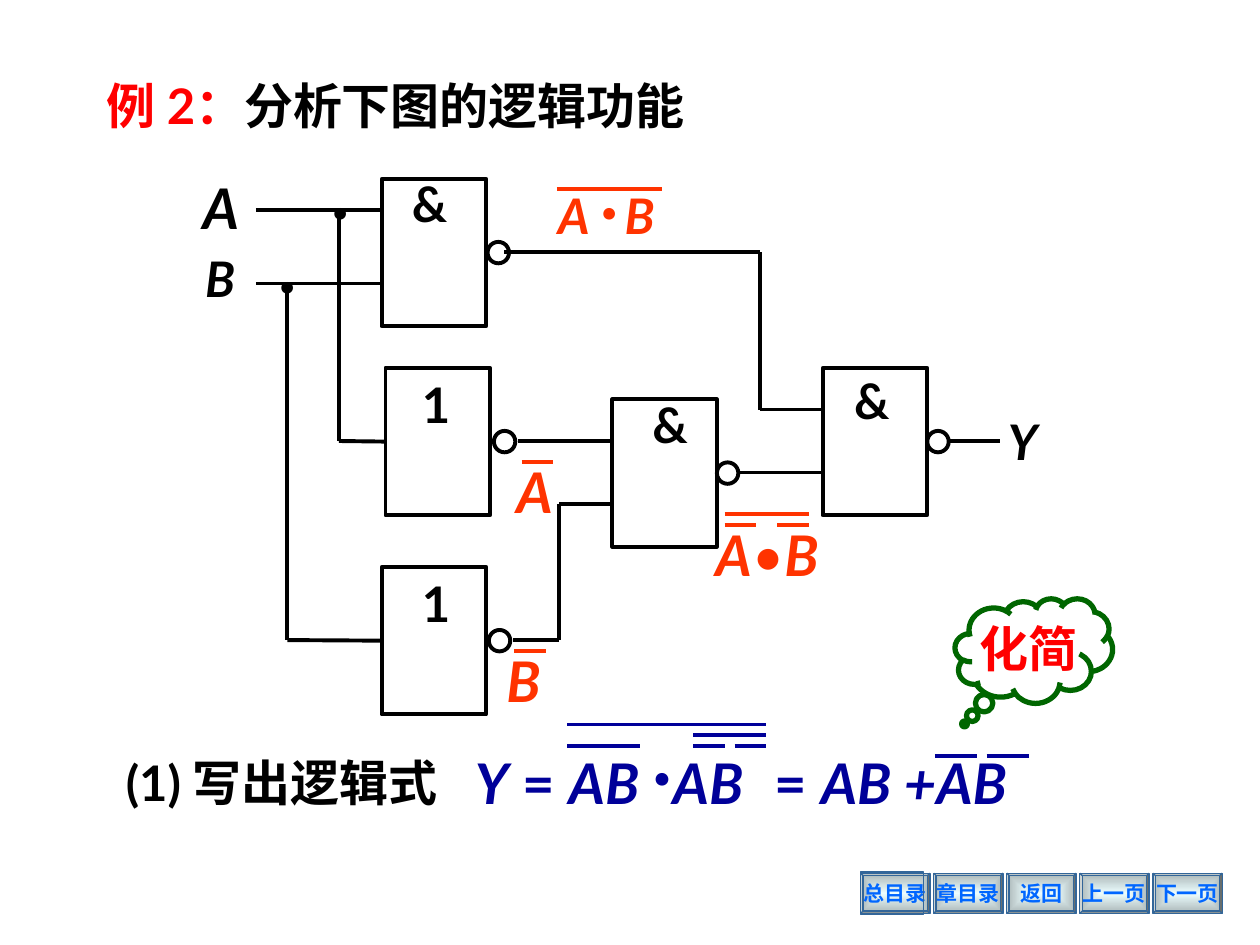
from lxml.etree import SubElement
from pptx import Presentation
from pptx.dml.color import RGBColor
from pptx.enum.shapes import MSO_CONNECTOR as Link, MSO_SHAPE as Shape
from pptx.enum.text import MSO_ANCHOR as Anchor, PP_ALIGN as Align
from pptx.oxml.ns import qn
from pptx.util import Cm, Pt

BLACK = RGBColor(0x00, 0x00, 0x00)
RED = RGBColor(0xFF, 0x00, 0x00)
ORANGE = RGBColor(0xFF, 0x33, 0x00)
NAVY = RGBColor(0x00, 0x00, 0x99)
GREEN = RGBColor(0x00, 0x66, 0x00)
STEEL = RGBColor(0x33, 0x66, 0x99)
LINK_BLUE = RGBColor(0x00, 0x66, 0xFF)
BUTTON_LIGHT = RGBColor(0xEC, 0xFD, 0xFE)
BUTTON_DARK = RGBColor(0xAA, 0xB6, 0xB7)

# Content; positions are in inches
BUTTONS = ["总目录", "章目录", "返回", "上一页", "下一页"]
BUTTON_LEFT, BUTTON_TOP, BUTTON_STEP = 6.83, 6.93, 0.58

GATE_SIZE, BUBBLE = (0.83, 1.17), 0.17
# name: left, top, symbol, symbol position, bubble left
GATES = {
    "nand A, B": (3.03, 1.42, "&", (3.17, 1.33), 3.87),
    "not A": (3.06, 2.92, "1", (3.25, 2.92), 3.92),
    "not B": (3.03, 4.5, "1", (3.25, 4.5), 3.88),
    "nand inverted": (4.86, 3.17, "&", (5.08, 3.08), 5.69),
    "output": (6.53, 2.92, "&", (6.68, 2.89), 7.36),
}

# Corner points of each wire, and the gate whose left middle it joins
WIRES = [
    ([(2.03, 1.67), (3.03, 1.67)], None),
    ([(2.03, 2.25), (3.03, 2.25)], None),
    ([(2.69, 1.67), (2.69, 3.5), (3.06, 3.5)], "not A"),
    ([(2.28, 2.25), (2.28, 5.08), (3.03, 5.08)], "not B"),
    ([(4, 2), (6.03, 2), (6.03, 3.25), (6.53, 3.25)], None),
    ([(4.11, 3.5), (4.86, 3.5)], None),
    ([(4.07, 5.08), (4.44, 5.08), (4.44, 4), (4.86, 4)], None),
    ([(5.86, 3.75), (6.53, 3.75)], None),
    ([(7.53, 3.5), (7.94, 3.5)], None),
]

# Negation bars: colour, then (from x, to x, y)
BARS = {
    ORANGE: [(4.42, 5.25, 1.5), (4.14, 4.39, 3.67), (4.08, 4.33, 5.17),
             (5.75, 6.42, 4.08), (5.75, 6, 4.17), (6.17, 6.42, 4.17)],
    NAVY: [(4.5, 6.08, 5.75), (5.5, 6.08, 5.83), (4.5, 5.08, 5.92),
           (5.5, 5.75, 5.92), (5.83, 6.08, 5.92),
           (7.42, 7.75, 6), (7.83, 8.17, 6)],
}

# Left, top, width, size, colour, spans of (text, style): b bold, i italic
TEXTS = [
    (0.75, 0.55, 5.3, 28, BLACK, [("例 2：", "b", RED), ("分析下图的逻辑功能", "b")]),
    (0.9, 5.92, 3.1, 28, BLACK, [("(1) 写出逻辑式", "b")]),
    # Inputs, output and junction dots
    (1.51, 1.33, 0.53, 32, BLACK, [("A", "bi")]),
    (1.53, 1.92, 0.58, 28, BLACK, [("B", "bi")]),
    (7.9, 3.22, 0.47, 28, BLACK, [("Y", "bi")]),
    (2.53, 1.08, 0.42, 44, BLACK, [(".", "b")]),
    (2.11, 1.67, 0.42, 44, BLACK, [(".", "b")]),
    # Gate results
    (4.33, 1.42, 0.5, 28, ORANGE, [("A", "bi")]),
    (4.67, 1.08, 0.33, 44, ORANGE, [(".", "b")]),
    (4.86, 1.42, 0.5, 28, ORANGE, [("B", "bi")]),
    (4, 3.58, 0.53, 32, ORANGE, [("A", "bi")]),
    (3.92, 5.08, 0.53, 32, ORANGE, [("B", "bi")]),
    (5.58, 4.08, 1.25, 32, ORANGE, [("A", "bi"), ("•", ""), ("B", "bi")]),
    # Logic expression
    (3.67, 5.89, 1.65, 32, NAVY, [("Y", "bi"), (" = ", "b"), ("AB", "bi")]),
    (5.08, 5.52, 0.33, 48, NAVY, [(".", "b")]),
    (5.24, 5.89, 0.9, 32, NAVY, [("AB", "bi")]),
    (6.05, 5.89, 2.4, 32, NAVY, [("= ", "b"), ("AB +AB", "bi")]),
]


def inches(*values):
    return [Cm(value * 2.54) for value in values]


def add_outline(kind, left, top, width, height, color, weight):
    shape = page.shapes.add_shape(kind, *inches(left, top, width, height))
    shape.shadow.inherit = False
    shape.fill.background()
    shape.line.color.rgb = color
    shape.line.width = Pt(weight)
    return shape


def add_line(start, end, color):
    line = page.shapes.add_connector(Link.STRAIGHT, *inches(*start, *end))
    line.line.color.rgb = color
    line.line.width = Pt(2.25)
    SubElement(line._element.spPr, qn("a:effectLst"))
    return line


def add_text(left, top, width, size, color, spans):
    box = page.shapes.add_textbox(*inches(left, top, width, size / 60 + 0.1))
    box.text_frame.word_wrap = True
    para = box.text_frame.paragraphs[0]
    para.font.size, para.font.name = Pt(size), "Lato"
    for text, style, *own_color in spans:
        span = para.add_run()
        span.text = text
        span.font.bold, span.font.italic = "b" in style, "i" in style
        span.font.color.rgb = own_color[0] if own_color else color


def label_shape(shape, text, size, font, color):
    frame = shape.text_frame
    frame.word_wrap = False
    frame.vertical_anchor = Anchor.MIDDLE
    para = frame.paragraphs[0]
    para.text, para.alignment = text, Align.CENTER
    para.font.size, para.font.name, para.font.bold = Pt(size), font, True
    para.font.color.rgb = color


def fill_from_centre(shape):
    shape.fill.gradient()
    for stop, color, place in zip(shape.fill.gradient_stops,
                                  (BUTTON_LIGHT, BUTTON_DARK), (0, 1)):
        stop.color.rgb, stop.position = color, place
    gradient = shape._element.spPr.find(qn("a:gradFill"))
    gradient.remove(gradient.find(qn("a:lin")))
    rings = SubElement(gradient, qn("a:path"), {"path": "rect"})
    SubElement(rings, qn("a:fillToRect"), dict.fromkeys("ltrb", "50000"))


deck = Presentation()
deck.slide_width, deck.slide_height = inches(10, 7.5)
page = deck.slides.add_slide(deck.slide_layouts[6])

# Navigation buttons
for index, name in enumerate(BUTTONS):
    button = add_outline(Shape.BEVEL, BUTTON_LEFT + index * BUTTON_STEP,
                         BUTTON_TOP, 0.55, 0.32, STEEL, 0.75)
    button.adjustments[0] = 0.06
    fill_from_centre(button)
    label_shape(button, name, 12, "Times New Roman", LINK_BLUE)
add_outline(Shape.RECTANGLE, BUTTON_LEFT, 6.92, 0.5, 0.34, STEEL, 0.75)

# Gates with their inverting bubbles
gates = {}
for name, (left, top, symbol, place, bubble_left) in GATES.items():
    gates[name] = add_outline(Shape.RECTANGLE, left, top, *GATE_SIZE, BLACK, 2.25)
    add_outline(Shape.OVAL, bubble_left, top + (GATE_SIZE[1] - BUBBLE) / 2,
                BUBBLE, BUBBLE, BLACK, 2.25)
    add_text(*place, 0.51, 28, BLACK, [(symbol, "b")])

# Wires
for points, target in WIRES:
    for start, end in zip(points, points[1:]):
        wire = add_line(start, end, BLACK)
    if target:
        wire.end_connect(gates[target], 1)

# Texts and negation bars
for text in TEXTS:
    add_text(*text)
for color, bars in BARS.items():
    for x1, x2, y in bars:
        add_line((x1, y), (x2, y), color)

# Thought cloud
cloud = add_outline(Shape.CLOUD_CALLOUT, 7.58, 4.75, 1.25, 0.83, GREEN, 3)
cloud.adjustments[0], cloud.adjustments[1] = -0.44, 0.7
label_shape(cloud, "化简", 28, "Lato", RED)

deck.save("out.pptx")
